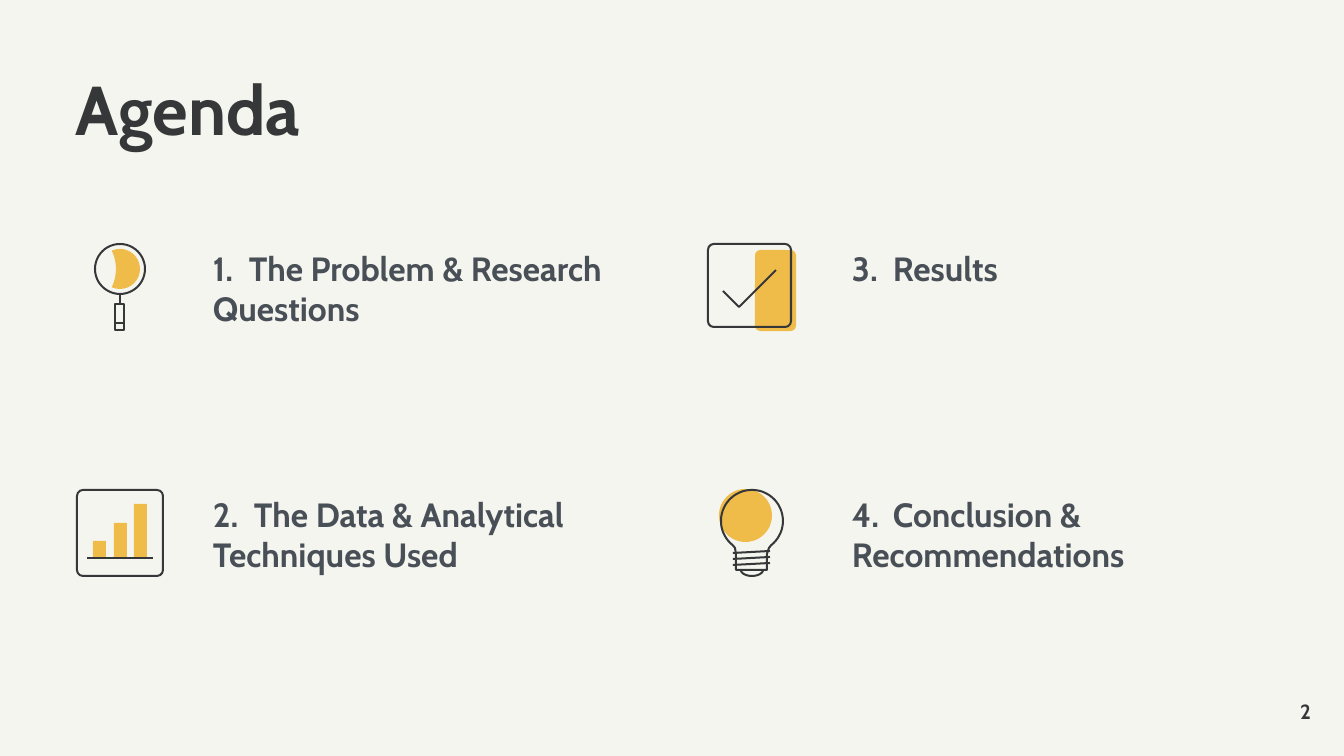
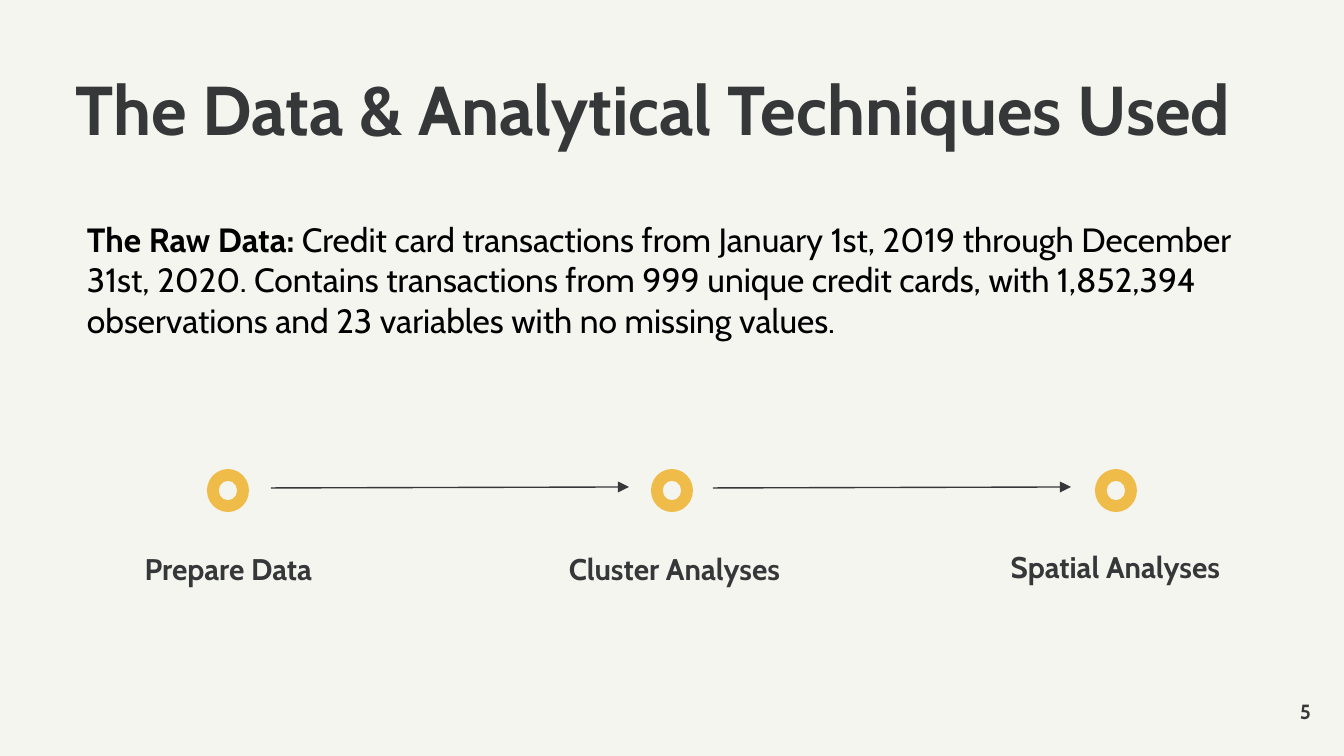
"""Build the agenda slide and the data and techniques slide."""
from dataclasses import dataclass
from math import cos, radians, sin

from lxml.etree import SubElement
from pptx import Presentation
from pptx.dml.color import RGBColor
from pptx.enum.shapes import MSO_CONNECTOR as Connector
from pptx.enum.shapes import MSO_SHAPE as Shape
from pptx.enum.text import MSO_ANCHOR as Anchor
from pptx.enum.text import MSO_AUTO_SIZE as AutoSize
from pptx.enum.text import PP_ALIGN as Align
from pptx.oxml.ns import qn
from pptx.util import Emu, Pt

EMU_PER_PX = 9144000 / 1344


@dataclass(frozen=True)
class Theme:
    font: str = "Cabin"
    paper: str = "F5F5EF"
    ink: str = "363739"
    slate: str = "494F56"
    black: str = "000000"
    amber: str = "EFBC49"
    title_size: int = 37
    body_size: int = 18
    label_size: int = 16
    number_size: int = 11
    stroke: int = 2
    inset: int = 13


THEME = Theme()


def px(length):
    return Emu(round(length * EMU_PER_PX))


def rgb(value):
    return RGBColor.from_string(value)


def add_text(canvas, box, runs, size, color, inset=0, align=Align.LEFT,
             spacing=None, anchor=Anchor.TOP, grow=False, tab=None):
    frame = canvas.add_textbox(*map(px, box)).text_frame
    frame.word_wrap = True
    frame.auto_size = AutoSize.SHAPE_TO_FIT_TEXT if grow else AutoSize.NONE
    frame.vertical_anchor = anchor
    frame.margin_left = frame.margin_right = px(inset)
    frame.margin_top = frame.margin_bottom = px(inset)
    paragraph = frame.paragraphs[0]
    if tab:
        stops = SubElement(paragraph._p.get_or_add_pPr(), qn("a:tabLst"))
        SubElement(stops, qn("a:tab"), pos=str(px(tab)), algn="l")
    paragraph.alignment = align
    if spacing:
        paragraph.line_spacing = spacing
    for words, bold in runs:
        run = paragraph.add_run()
        run.text = words
        run.font.name = THEME.font
        run.font.size = Pt(size)
        run.font.bold = bold
        run.font.color.rgb = rgb(color)


def paint(shape, fill=None):
    """Fill the shape with a colour, or draw only its outline in ink."""
    shape.shadow.inherit = False
    if fill:
        shape.fill.solid()
        shape.fill.fore_color.rgb = rgb(fill)
        shape.line.fill.background()
    else:
        shape.fill.background()
        shape.line.color.rgb = rgb(THEME.ink)
        shape.line.width = px(THEME.stroke)


def add_preset(canvas, kind, box, fill=None, adjust=None):
    shape = canvas.add_shape(kind, *map(px, box))
    if adjust is not None:
        shape.adjustments[0] = adjust
    paint(shape, fill)


def add_outline(canvas, points, fill=None, close=False):
    start, *rest = [(px(x), px(y)) for x, y in points]
    builder = canvas.build_freeform(*start)
    builder.add_line_segments(rest, close=close)
    paint(builder.convert_to_shape(), fill)


def add_line(canvas, start, end, width=px(THEME.stroke), arrow=False):
    line = canvas.add_connector(Connector.STRAIGHT, *map(px, start + end))
    line.line.color.rgb = rgb(THEME.ink)
    line.line.width = width
    if arrow:
        SubElement(line.line._get_or_add_ln(), qn("a:tailEnd"), type="triangle")
    SubElement(line._element.spPr, qn("a:effectLst"))


def arc(cx, cy, rx, start, end, ry=None, steps=48):
    """List points along an arc, with angles in degrees clockwise from east."""
    angles = [radians(start + (end - start) * i / steps) for i in range(steps + 1)]
    return [(cx + rx * cos(a), cy + (ry or rx) * sin(a)) for a in angles]


def draw_magnifier(canvas):
    add_preset(canvas, Shape.OVAL, (95, 244, 50, 50))
    add_line(canvas, (120, 295), (120, 304))
    add_preset(canvas, Shape.RECTANGLE, (115, 304, 9, 26))
    add_line(canvas, (115, 323), (124, 323))
    crescent = arc(120, 269, 20, -114, 114) + arc(74, 269, 42, 25, -25)
    add_outline(canvas, crescent, THEME.amber, close=True)


def draw_bar_chart(canvas):
    baseline = 557
    add_preset(canvas, Shape.ROUNDED_RECTANGLE, (77, 490, 86, 86), adjust=0.07)
    for left, top in ((93, 541), (114, 523), (134, 504)):
        add_preset(canvas, Shape.RECTANGLE, (left, top, 13, baseline - top), THEME.amber)
    add_line(canvas, (87, baseline + 1), (153, baseline + 1))


def draw_checkbox(canvas):
    add_preset(canvas, Shape.ROUNDED_RECTANGLE, (755, 250, 41, 81), THEME.amber, 0.13)
    add_preset(canvas, Shape.ROUNDED_RECTANGLE, (708, 244, 83, 83), adjust=0.07)
    add_outline(canvas, [(723, 291), (739, 307), (776, 270)])


def draw_bulb(canvas):
    add_preset(canvas, Shape.OVAL, (719, 489, 53, 53), THEME.amber)
    right_neck = [(767, 570), (767, 554), (769, 548)]
    left_neck = [(735, 548), (736, 554), (736, 570)]
    glass = right_neck + arc(752, 521, 31, 52, -232) + left_neck
    add_outline(canvas, glass, close=True)
    add_outline(canvas, arc(752, 570, 11, 0, 180, ry=6))
    for thread in range(3):
        y = 551 + 6 * thread
        add_line(canvas, (733, y + 2), (770, y))


def add_page(deck, title, number):
    slide = deck.slides.add_slide(deck.slide_layouts[6])
    slide.background.fill.solid()
    slide.background.fill.fore_color.rgb = rgb(THEME.paper)
    add_text(slide.shapes, (76, 76, 1219, 106), [(title, True)],
             THEME.title_size, THEME.ink, spacing=0.9)
    add_text(slide.shapes, (1231, 698, 80, 27), [(number, True)],
             THEME.number_size, THEME.ink, align=Align.RIGHT, anchor=Anchor.MIDDLE)
    return slide.shapes


def build_agenda(deck):
    page = add_page(deck, "Agenda", "2")
    topics = (
        ("The Problem & Research Questions", draw_magnifier),
        ("The Data & Analytical Techniques Used", draw_bar_chart),
        ("Results", draw_checkbox),
        ("Conclusion & Recommendations", draw_bulb),
    )
    for index, (topic, draw_icon) in enumerate(topics):
        column, row = divmod(index, 2)
        draw_icon(page.add_group_shape().shapes)
        add_text(page, (200 + 639 * column, 235 + 246 * row, 452, 109),
                 [(f"{index + 1}.\t{topic}", True)], THEME.body_size, THEME.slate,
                 inset=THEME.inset, grow=True, tab=41 if index else 36)


def build_techniques(deck):
    page = add_page(deck, "The Data & Analytical Techniques Used", "5")
    raw_data = (
        "Credit card transactions from January 1st, 2019 through December 31st, 2020. "
        "Contains transactions from 999 unique credit cards, with 1,852,394 "
        "observations and 23 variables with no missing values."
    )
    add_text(page, (74, 206, 1222, 190), [("The Raw Data: ", True), (raw_data, False)],
             THEME.body_size, THEME.black, inset=THEME.inset, grow=True)
    process = page.add_group_shape().shapes
    steps = (
        ("Prepare Data", 105, 536),
        ("Cluster Analyses", 551, 536),
        ("Spatial Analyses", 992, 534),
    )
    for index, (step, left, top) in enumerate(steps):
        add_preset(process, Shape.DONUT, (207 + 444 * index, 469, 42, 43),
                   THEME.amber, 0.28)
        add_text(process, (left, top, 247, 36), [(step, True)], THEME.label_size,
                 THEME.ink, align=Align.CENTER, spacing=1.4, grow=True)
    for arrow_left in (271, 713):
        add_line(process, (arrow_left, 488), (arrow_left + 358, 487),
                 width=Pt(0.75), arrow=True)


def main():
    deck = Presentation()
    deck.slide_width, deck.slide_height = px(1344), px(756)
    build_agenda(deck)
    build_techniques(deck)
    deck.save("out.pptx")


if __name__ == "__main__":
    main()
